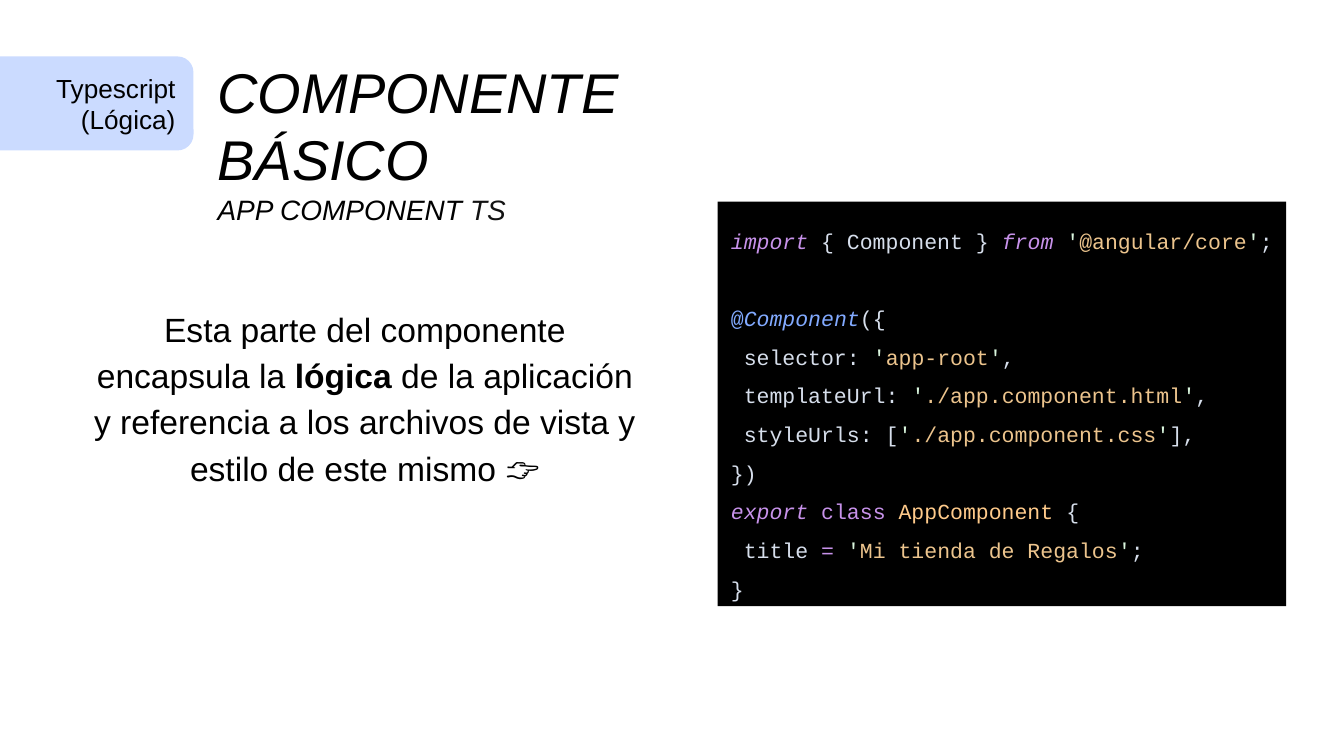
"""Build the slide that explains the TypeScript part of a basic component."""
from pptx import Presentation
from pptx.dml.color import RGBColor
from pptx.enum.shapes import MSO_SHAPE
from pptx.enum.text import MSO_ANCHOR, MSO_AUTO_SIZE, PP_ALIGN
from pptx.util import Inches, Pt

RECTANGLE, ROUNDED = MSO_SHAPE.RECTANGLE, MSO_SHAPE.ROUNDED_RECTANGLE
TOP, MIDDLE = MSO_ANCHOR.TOP, MSO_ANCHOR.MIDDLE
LEFT, CENTER, RIGHT = PP_ALIGN.LEFT, PP_ALIGN.CENTER, PP_ALIGN.RIGHT
FIT_TEXT = MSO_AUTO_SIZE.SHAPE_TO_FIT_TEXT

BLACK = "000000"
PLAIN = "D6DEEB"
KEYWORD = "C792EA"
QUOTE = "D9F5DD"
STRING = "ECC48D"
DECORATOR = "82AAFF"
CLASS_NAME = "FFCB8B"


def add_box(page, kind, left, top, width, height, fill=None, anchor=TOP):
    area = [Inches(length) for length in (left, top, width, height)]
    if kind is None:
        box = page.shapes.add_textbox(*area)
    else:
        box = page.shapes.add_shape(kind, *area)
        box.shadow.inherit = False
        box.fill.solid()
        box.fill.fore_color.rgb = RGBColor.from_string(fill)
        box.line.fill.background()
    frame = box.text_frame
    frame.word_wrap = True
    frame.vertical_anchor = anchor
    frame.margin_left = frame.margin_right = Inches(0.1)
    frame.margin_top = frame.margin_bottom = Inches(0.1)
    return box


def write_lines(frame, lines, font, size, align=LEFT, spacing=1):
    for index, line in enumerate(lines):
        para = frame.paragraphs[0] if index == 0 else frame.add_paragraph()
        para.alignment = align
        para.line_spacing = spacing
        for text, color, style in line:
            span = para.add_run()
            span.text = text
            span.font.name = font
            span.font.size = Pt(size)
            span.font.color.rgb = RGBColor.from_string(color)
            span.font.italic = "i" in style
            span.font.bold = "b" in style


deck = Presentation()
deck.slide_width = Inches(10)
deck.slide_height = Inches(10 * 9 / 16)
page = deck.slides.add_slide(deck.slide_layouts[6])

title = add_box(page, None, 1.52, 0.33, 4.51, 0.79)
title_lines = [
    [("COMPONENTE BÁSICO", BLACK, "i")],
    [("APP COMPONENT ", BLACK, "i"), ("TS", "121212", "i")],
]
write_lines(title.text_frame, title_lines, "Arial", 15)
title.text_frame.paragraphs[0].runs[0].font.size = Pt(30)

quote = ("'", QUOTE, "")
code_lines = [
    [("import", KEYWORD, "i"), (" { Component } ", PLAIN, ""), ("from ", KEYWORD, "i"),
     quote, ("@angular/core", STRING, ""), quote, (";", PLAIN, "")],
    [("@", DECORATOR, ""), ("Component", DECORATOR, "i"), ("({", PLAIN, "")],
]
for start, value, end in (
    (" selector: ", "app-root", ","),
    (" templateUrl: ", "./app.component.html", ","),
    (" styleUrls: [", "./app.component.css", "],"),
):
    code_lines.append(
        [(start, PLAIN, ""), quote, (value, STRING, ""), quote, (end, PLAIN, "")]
    )
code_lines += [
    [("})", PLAIN, "")],
    [("export ", KEYWORD, "i"), ("class ", KEYWORD, ""),
     ("AppComponent", CLASS_NAME, ""), (" {", PLAIN, "")],
    [(" title ", PLAIN, ""), ("= ", KEYWORD, ""), quote,
     ("Mi tienda de Regalos", STRING, ""), quote, (";", PLAIN, "")],
    [("}", PLAIN, "")],
]
code = add_box(page, RECTANGLE, 5.34, 1.5, 4.23, 3.01, BLACK)
code.text_frame.auto_size = FIT_TEXT
write_lines(code.text_frame, code_lines, "Courier New", 11.5, spacing=1.5)
code.text_frame.paragraphs[1].space_before = Pt(20.7)

summary = add_box(page, None, 0.6, 2.15, 4.23, 1.55)
summary.text_frame.auto_size = FIT_TEXT
summary_line = [
    ("Esta parte del componente encapsula la ", BLACK, ""),
    ("lógica ", BLACK, "b"),
    ("de la aplicación y referencia a los archivos de vista y estilo de este mismo 👉", BLACK, ""),
]
write_lines(summary.text_frame, [summary_line], "Arial", 18, CENTER, 1.15)

badge = add_box(page, ROUNDED, -0.17, 0.42, 1.61, 0.7, "CBDBFF", MIDDLE)
badge.adjustments[0] = 0.17
badge_lines = [[(text, BLACK, "")] for text in ("Typescript", "(Lógica)")]
write_lines(badge.text_frame, badge_lines, "Arial", 14, RIGHT)

deck.save("out.pptx")
